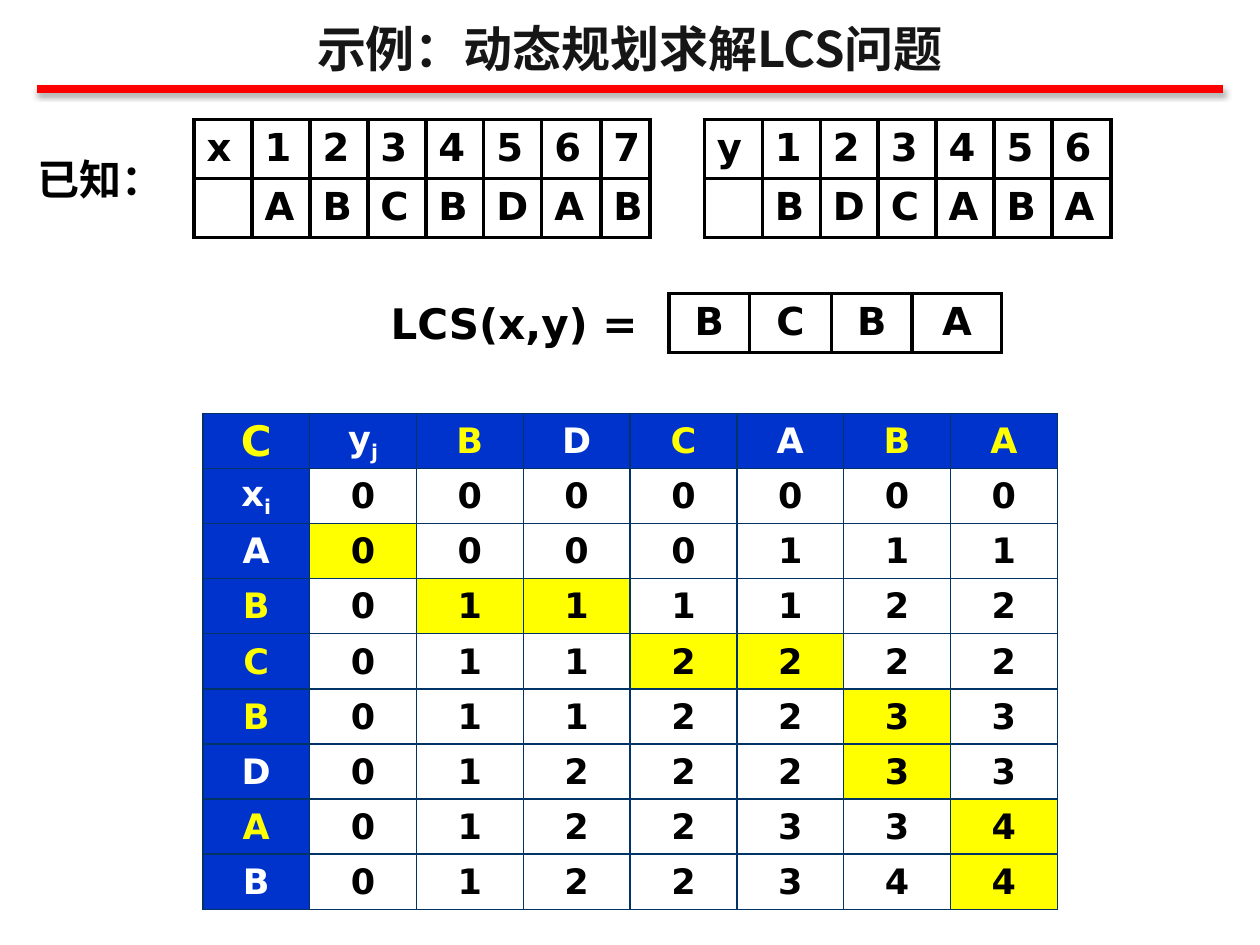
from dataclasses import dataclass

from lxml.etree import SubElement
from pptx import Presentation
from pptx.dml.color import RGBColor
from pptx.enum.shapes import MSO_CONNECTOR
from pptx.enum.text import MSO_ANCHOR, MSO_AUTO_SIZE, PP_ALIGN
from pptx.oxml.ns import qn
from pptx.util import Inches, Pt

GRID_COLUMNS, GRID_ROWS = 100, 75


@dataclass(frozen=True)
class Theme:
    latin: str = "DejaVu Sans"
    chinese: str = "Noto Sans CJK SC"
    title: str = "161616"
    ink: str = "000000"
    rule: str = "FF0000"
    header: str = "0033CC"
    header_text: str = "FFFFFF"
    mark: str = "FFFF00"
    matrix_border: str = "003366"
    title_size: int = 28
    label_size: int = 24
    sequence_size: int = 22
    matrix_size: int = 20


class SlideBuilder:
    def __init__(self, deck, theme):
        self.deck = deck
        self.theme = theme
        self.page = deck.slides.add_slide(deck.slide_layouts[5])

    def across(self, columns):
        return int(self.deck.slide_width * columns / GRID_COLUMNS)

    def down(self, rows):
        return int(self.deck.slide_height * rows / GRID_ROWS)

    def frame(self, left, top, width, height):
        return self.across(left), self.down(top), self.across(width), self.down(height)

    def style(self, span, size, color, font):
        span.font.size = Pt(size)
        span.font.bold = True
        span.font.name = font
        span.font.color.rgb = RGBColor.from_string(color)
        SubElement(span.font._element, qn("a:ea"), typeface=font)

    def set_text(self, text_frame, text, size, color, font, align=PP_ALIGN.LEFT):
        text_frame.text = text
        para = text_frame.paragraphs[0]
        para.alignment = align
        for span in para.runs:
            self.style(span, size, color, font)
        return para

    def title(self, text, *place):
        box = self.page.shapes.title
        box.left, box.top, box.width, box.height = self.frame(*place)
        box.text_frame.auto_size = MSO_AUTO_SIZE.NONE
        box.text_frame.vertical_anchor = MSO_ANCHOR.TOP
        self.set_text(box.text_frame, text, self.theme.title_size, self.theme.title,
                      self.theme.chinese, PP_ALIGN.CENTER)

    def rule(self, left, right, row):
        """Draw the thick line under the title, with its soft shadow."""
        line = self.page.shapes.add_connector(
            MSO_CONNECTOR.STRAIGHT, self.across(left), self.down(row),
            self.across(right), self.down(row))
        line.line.color.rgb = RGBColor.from_string(self.theme.rule)
        line.line.width = Pt(4.5)
        effects = SubElement(line._element.spPr, qn("a:effectLst"))
        shadow = SubElement(effects, qn("a:outerShdw"), blurRad=str(Pt(3.1)),
                            dist=str(Pt(1.8)), dir="5400000", rotWithShape="0")
        color = SubElement(shadow, qn("a:srgbClr"), val=self.theme.ink)
        SubElement(color, qn("a:alpha"), val="35000")

    def label(self, text, font, align, *place):
        box = self.page.shapes.add_textbox(*self.frame(*place))
        box.text_frame.word_wrap = True
        self.set_text(box.text_frame, text, self.theme.label_size, self.theme.ink,
                      font, align)

    def table(self, left, top, widths, height, row_count):
        """Add a plain table whose rows share the height equally."""
        table = self.page.shapes.add_table(
            row_count, len(widths), *self.frame(left, top, sum(widths), height)).table
        table.first_row = table.horz_banding = False
        for column, width in zip(table.columns, widths):
            column.width = self.across(width)
        for row in table.rows:
            row.height = self.down(height / row_count)
        return table

    def finish_cell(self, cell, border, width, fill=None):
        properties = cell._tc.get_or_add_tcPr()
        for side in ("a:lnL", "a:lnR", "a:lnT", "a:lnB"):
            line = SubElement(properties, qn(side), w=str(Pt(width)))
            SubElement(SubElement(line, qn("a:solidFill")), qn("a:srgbClr"), val=border)
        if fill:
            cell.fill.solid()
            cell.fill.fore_color.rgb = RGBColor.from_string(fill)
        else:
            cell.fill.background()

    def sequence(self, left, top, widths, height, rows, align=PP_ALIGN.LEFT):
        """Show strings as boxed characters; a blank leaves its cell empty."""
        table = self.table(left, top, widths, height, len(rows))
        for r, characters in enumerate(rows):
            for c, character in enumerate(characters):
                cell = table.cell(r, c)
                if character.strip():
                    self.set_text(cell.text_frame, character, self.theme.sequence_size,
                                  self.theme.ink, self.theme.latin, align)
                self.finish_cell(cell, self.theme.ink, 2.25)

    def matrix(self, left, top, widths, height, rows, route, matched):
        """Show the length matrix with its route and matched headers marked."""
        theme = self.theme
        table = self.table(left, top, widths, height, len(rows))
        for r, values in enumerate(rows):
            for c, value in enumerate(values):
                cell = table.cell(r, c)
                cell.margin_left = cell.margin_right = cell.margin_top = Inches(0.01)
                cell.margin_bottom = 0
                cell.vertical_anchor = MSO_ANCHOR.MIDDLE
                if r == 0 or c == 0:
                    color = theme.mark if (r, c) in matched else theme.header_text
                    fill = theme.header
                else:
                    color, fill = theme.ink, theme.mark if (r, c) in route else None
                size = theme.label_size if r == c == 0 else theme.matrix_size
                para = self.set_text(cell.text_frame, value[0], size, color,
                                     theme.latin, PP_ALIGN.CENTER)
                if value[1:]:
                    span = para.add_run()
                    span.text = value[1:]
                    self.style(span, size, color, theme.latin)
                    span.font._element.set("baseline", "-25000")
                self.finish_cell(cell, theme.matrix_border, 1, fill)


def main():
    deck = Presentation()
    deck.slide_width, deck.slide_height = Inches(10), Inches(7.5)
    theme = Theme()
    slide = SlideBuilder(deck, theme)
    x, y = "ABCBDAB", "BDCABA"

    slide.rule(2.9, 97.1, 7.1)
    slide.title("示例：动态规划求解LCS问题", 0, 1, 100, 6.8)

    lengths = ["0000000", "0000111", "0111122", "0112222",
               "0112233", "0122233", "0122334", "0122344"]
    rows = [["C", "yj", *y]]
    rows += [[name, *values] for name, values in zip(["xi", *x], lengths)]
    route = {(2, 1), (3, 2), (3, 3), (4, 4), (4, 5), (5, 6), (6, 6), (7, 7), (8, 7)}
    matched = {(0, c) for c in (0, 2, 4, 6, 7)} | {(r, 0) for r in (3, 4, 5, 7)}
    slide.matrix(16.1, 32.8, [8.48] * 8, 39.4, rows, route, matched)

    slide.label("已知：", theme.chinese, PP_ALIGN.LEFT, 2, 11.7, 11, 5)
    slide.sequence(15.4, 9.5, [4.6] * 6 + [4.7, 3.9], 9.2, ["x1234567", " " + x])
    slide.sequence(55.9, 9.5, [4.6] * 6 + [4.7], 9.2, ["y123456", " " + y])

    slide.label("LCS(x,y) =", theme.latin, PP_ALIGN.RIGHT, 23.3, 23.1, 28.3, 5)
    slide.sequence(53.1, 23.3, [6.4, 6.5, 6.4, 7.1], 4.6, ["BCBA"], PP_ALIGN.CENTER)

    deck.save("out.pptx")


if __name__ == "__main__":
    main()
